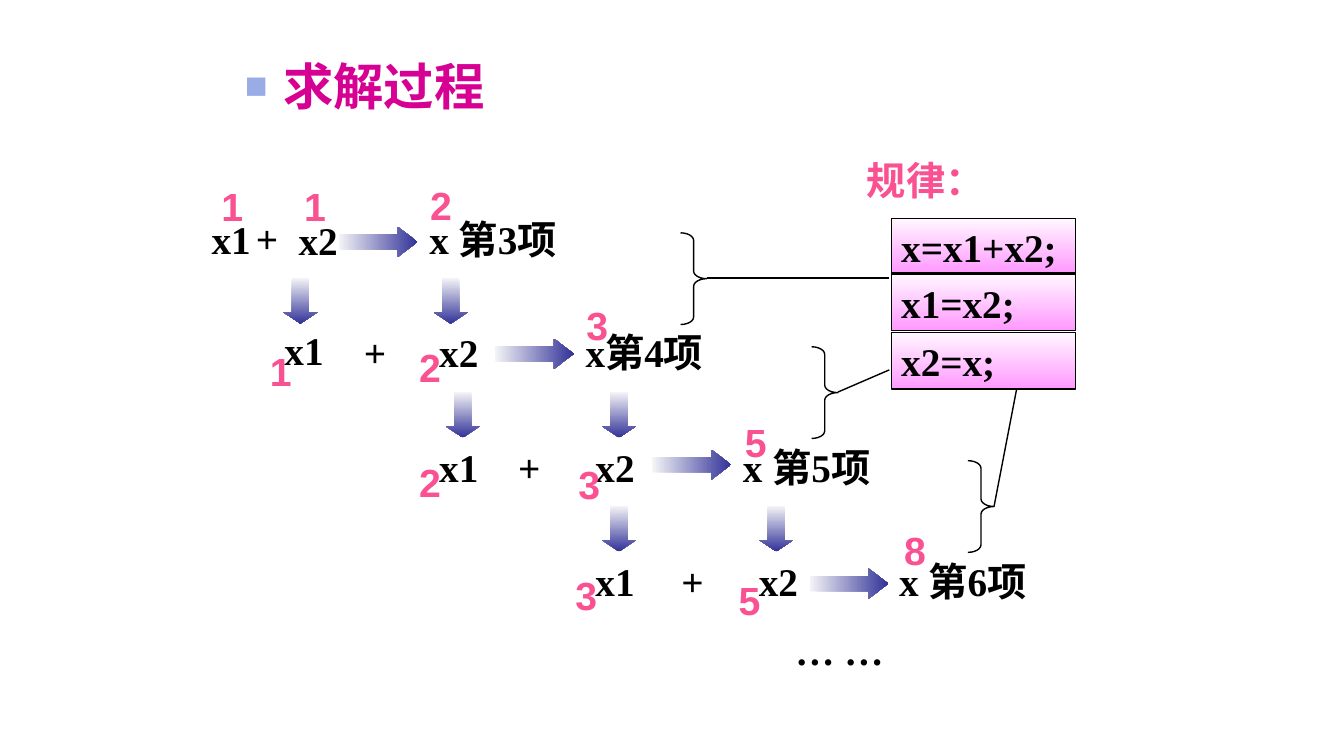
import pptx
import pptx.util
import pptx.dml.color
import pptx.enum.shapes
import pptx.enum.text
import pptx.oxml
import pptx.oxml.ns
from lxml import etree

Inches = pptx.util.Inches
ALIGN = pptx.enum.text.PP_ALIGN
SHAPE = pptx.enum.shapes.MSO_SHAPE
COLORS = {
    "title": "D60093", "bullet": "9AACE6", "ink": "000000", "value": "F95191",
    "arrow_start": "F4F4F7", "arrow_end": "333399",
    "rule_start": "FFF7FF", "rule_end": "FF99FF",
}
RGB = {name: pptx.dml.color.RGBColor.from_string(code) for name, code in COLORS.items()}
CJK_FONT = "Noto Sans CJK SC"

presentation = pptx.Presentation()
presentation.slide_width = Inches(13.33)
presentation.slide_height = Inches(7.5)
slide = presentation.slides.add_slide(presentation.slide_layouts[6])
shapes = slide.shapes


def write(box, text, align=ALIGN.JUSTIFY, color="ink", font="Times New Roman", size=28):
    frame = box.text_frame
    frame.word_wrap = True
    frame.vertical_anchor = pptx.enum.text.MSO_ANCHOR.TOP
    paragraph = frame.paragraphs[0]
    paragraph.alignment = align
    run = paragraph.add_run()
    run.text = text
    formats = {"name": font, "size": pptx.util.Pt(size), "bold": True}
    for key, value in formats.items():
        setattr(run.font, key, value)
    run.font.color.rgb = RGB[color]
    east_asian = etree.SubElement(run.font._element, pptx.oxml.ns.qn("a:ea"))
    east_asian.set("typeface", CJK_FONT)
    return paragraph


def add_gradient(kind, left, top, width, height, part, angle):
    shape = shapes.add_shape(kind, Inches(left), Inches(top), Inches(width), Inches(height))
    shape.shadow.inherit = False
    shape.fill.gradient()
    shape.fill.gradient_angle = angle
    for stop, end in zip(shape.fill.gradient_stops, ("start", "end")):
        stop.color.rgb = RGB[f"{part}_{end}"]
    shape.line.fill.background()
    return shape


# Title with a square bullet
title_box = shapes.add_textbox(Inches(2.33), Inches(0.5), Inches(2.58), Inches(0.82))
title = write(title_box, "求解过程", ALIGN.LEFT, "title", CJK_FONT, 36)
title_format = title._p.get_or_add_pPr()
title_format.set("marL", str(Inches(0.38)))
title_format.set("indent", str(Inches(-0.38)))
ns = pptx.oxml.ns.nsdecls("a")
for bullet_xml in (
    f'<a:buClr {ns}><a:srgbClr val="{COLORS["bullet"]}"/></a:buClr>',
    f'<a:buSzPct {ns} val="75000"/>',
    f'<a:buFont {ns} typeface="Arial"/>',
    f'<a:buChar {ns} char="■"/>',
):
    title_format.append(pptx.oxml.parse_xml(bullet_xml))

# Arrows to the next term and down to the next row
for left, top in ((3.36, 2.25), (4.91, 3.36), (6.47, 4.46), (8.03, 5.64)):
    next_term = add_gradient(SHAPE.RIGHT_ARROW, left, top, 0.78, 0.3, "arrow", 0)
    next_term.adjustments[1] = 0.65
for top, lefts in ((2.76, (2.81, 4.3)), (3.89, (4.42, 5.97)), (5.02, (5.97, 7.53))):
    for left in lefts:
        shift = add_gradient(SHAPE.DOWN_ARROW, left, top, 0.34, 0.45, "arrow", 270)
        shift.adjustments[1] = 0.33

# Variables: text, left, top, width, alignment
variables = [
    ("x1", 2, 2.09, 0.63, ALIGN.JUSTIFY),
    ("+", 2.44, 2.08, 0.6, ALIGN.JUSTIFY),
    ("x2", 2.81, 2.1, 0.69, ALIGN.CENTER),
    ("x 第3项", 4.16, 2.09, 2.33, ALIGN.JUSTIFY),
    ("x1", 2.69, 3.19, 0.65, ALIGN.CENTER),
    ("+", 3.51, 3.21, 0.62, ALIGN.JUSTIFY),
    ("x2", 4.16, 3.21, 0.78, ALIGN.CENTER),
    ("x第4项", 5.71, 3.21, 2.12, ALIGN.JUSTIFY),
    ("x1", 4.16, 4.35, 0.78, ALIGN.CENTER),
    ("+", 5.04, 4.35, 0.56, ALIGN.JUSTIFY),
    ("x2", 5.71, 4.35, 0.78, ALIGN.CENTER),
    ("x 第5项", 7.27, 4.35, 2.59, ALIGN.JUSTIFY),
    ("x1", 5.71, 5.48, 0.78, ALIGN.CENTER),
    ("+", 6.66, 5.48, 0.78, ALIGN.JUSTIFY),
    ("x2", 7.33, 5.48, 0.78, ALIGN.CENTER),
    ("x 第6项", 8.82, 5.48, 2.59, ALIGN.JUSTIFY),
    ("… …", 7.79, 6.16, 1.82, ALIGN.JUSTIFY),
]
for text, left, top, width, align in variables:
    variable = shapes.add_textbox(Inches(left), Inches(top), Inches(width), Inches(0.67))
    write(variable, text, align)

# Current value beside each variable
values = [
    ("1", 1.98, 1.76), ("1", 2.8, 1.76), ("2", 4.05, 1.75),
    ("1", 2.46, 3.4), ("2", 3.94, 3.36), ("3", 5.6, 2.94),
    ("2", 3.94, 4.5), ("3", 5.52, 4.52), ("5", 7.17, 4.1),
    ("3", 5.49, 5.62), ("5", 7.11, 5.67), ("8", 8.75, 5.17),
]
for text, left, top in values:
    value_box = shapes.add_textbox(Inches(left), Inches(top), Inches(0.65), Inches(0.54))
    write(value_box, text, ALIGN.CENTER, "value", "Arial")

# Braces, each joined to the rules by a line
for left, top, end_x, end_y in (
    (6.75, 2.31, 8.82, 2.76), (8.05, 3.44, 8.82, 3.67), (9.6, 4.57, 10.12, 3.67),
):
    brace = shapes.add_shape(
        SHAPE.RIGHT_BRACE, Inches(left), Inches(top), Inches(0.26), Inches(0.91))
    brace.adjustments[0] = 0.29
    brace.shadow.inherit = False
    brace.fill.background()
    link = shapes.add_connector(
        pptx.enum.shapes.MSO_CONNECTOR.STRAIGHT,
        Inches(left + 0.26), Inches(top + 0.45), Inches(end_x), Inches(end_y))
    etree.SubElement(link._element.spPr, pptx.oxml.ns.qn("a:effectLst"))
    for stroke in (brace, link):
        stroke.line.color.rgb = RGB["ink"]
        stroke.line.width = pptx.util.Pt(1)

# Rules
heading = shapes.add_textbox(Inches(8.5), Inches(1.5), Inches(1.42), Inches(0.82))
write(heading, "规律：", ALIGN.LEFT, "value", CJK_FONT)
for text, top, height in (
    ("x=x1+x2;", 2.17, 0.54), ("x1=x2;", 2.72, 0.56), ("x2=x;", 3.3, 0.56),
):
    rule = add_gradient(SHAPE.RECTANGLE, 8.84, top, 1.83, height, "rule", 270)
    rule.line.color.rgb = RGB["ink"]
    rule.line.width = pptx.util.Pt(1)
    write(rule, text)

presentation.save("out.pptx")
